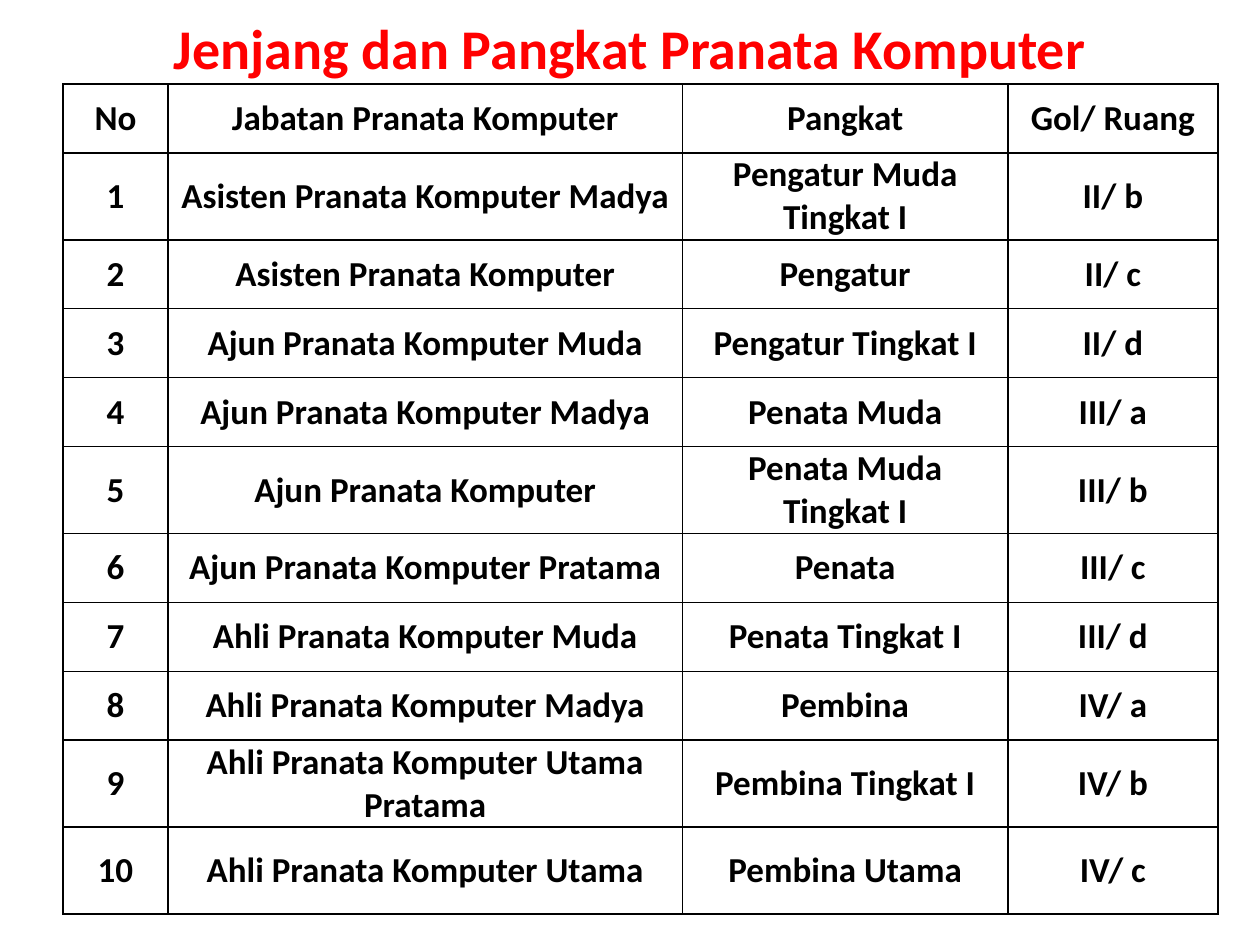
from dataclasses import dataclass

from lxml import etree
from pptx import Presentation
from pptx.dml.color import RGBColor
from pptx.enum.text import MSO_ANCHOR, PP_ALIGN
from pptx.oxml.ns import qn
from pptx.util import Pt

CENTER = PP_ALIGN.CENTER
MIDDLE = MSO_ANCHOR.MIDDLE
COLORS = {"title": "FF0000", "text": "000000", "border": "000000"}
FONT = "Calibri"
BLANK_LAYOUT = 6
TABLE_LEFT, TABLE_TOP = 36, 48
COLUMN_WIDTHS = (60, 294, 186, 120)
ROW_HEIGHT, TALL_ROW_HEIGHT = 39.4, 49.7
BORDER_WIDTH = 1
CELL_FORMAT = {
    "vertical_anchor": MIDDLE,
    "margin_left": Pt(5),
    "margin_right": Pt(5),
    "margin_top": Pt(0),
    "margin_bottom": Pt(0),
}


@dataclass(frozen=True)
class Rank:
    """One position with its rank and grade."""

    position: str
    rank: str
    grade: str
    height: float = ROW_HEIGHT


HEADER = Rank("Jabatan Pranata Komputer", "Pangkat", "Gol/ Ruang")
RANKS = (
    Rank("Asisten Pranata Komputer Madya", "Pengatur Muda Tingkat I", "II/ b", TALL_ROW_HEIGHT),
    Rank("Asisten Pranata Komputer", "Pengatur", "II/ c"),
    Rank("Ajun Pranata Komputer Muda", "Pengatur Tingkat I", "II/ d"),
    Rank("Ajun Pranata Komputer Madya", "Penata Muda", "III/ a"),
    Rank("Ajun Pranata Komputer", "Penata Muda Tingkat I", "III/ b", TALL_ROW_HEIGHT),
    Rank("Ajun Pranata Komputer Pratama", "Penata", "III/ c"),
    Rank("Ahli Pranata Komputer Muda", "Penata Tingkat I", "III/ d"),
    Rank("Ahli Pranata Komputer Madya", "Pembina", "IV/ a"),
    Rank("Ahli Pranata Komputer Utama Pratama", "Pembina Tingkat I", "IV/ b", TALL_ROW_HEIGHT),
    Rank("Ahli Pranata Komputer Utama", "Pembina Utama", "IV/ c", TALL_ROW_HEIGHT),
)


def set_attributes(target: object, values: dict) -> None:
    """Set every named format value on the target."""
    for name, value in values.items():
        setattr(target, name, value)


def write_text(text_frame, text: str, size: float, color: str, spacing: float = 0) -> None:
    """Write one centred bold paragraph."""
    paragraph = text_frame.paragraphs[0]
    set_attributes(paragraph, {
        "alignment": CENTER, "space_before": Pt(spacing), "space_after": Pt(spacing),
    })
    run = paragraph.add_run()
    run.text = text
    set_attributes(run.font, {"name": FONT, "size": Pt(size), "bold": True})
    run.font.color.rgb = RGBColor.from_string(COLORS[color])


def add_title(slide, text: str) -> None:
    """Add the heading across the top of the slide."""
    shape = slide.shapes.add_textbox(Pt(0), Pt(0), Pt(720), Pt(54))
    set_attributes(shape.text_frame, {"word_wrap": True, "vertical_anchor": MIDDLE})
    write_text(shape.text_frame, text, 32, "title")


def add_borders(cell) -> None:
    """Draw a solid line on all four sides of a cell."""
    properties = cell._tc.get_or_add_tcPr()
    for side in ("a:lnL", "a:lnR", "a:lnT", "a:lnB"):
        line = etree.SubElement(properties, qn(side), w=str(Pt(BORDER_WIDTH)))
        fill = etree.SubElement(line, qn("a:solidFill"))
        etree.SubElement(fill, qn("a:srgbClr"), val=COLORS["border"])


def fill_cell(cell, text: str) -> None:
    """Format a table cell and write its text."""
    set_attributes(cell, CELL_FORMAT)
    add_borders(cell)
    cell.fill.background()
    write_text(cell.text_frame, text, 20, "text", spacing=3)


def add_rank_table(slide) -> None:
    """Add the table of positions, numbered from one below the header."""
    rows = (HEADER, *RANKS)
    table = slide.shapes.add_table(
        len(rows), len(COLUMN_WIDTHS), Pt(TABLE_LEFT), Pt(TABLE_TOP),
        Pt(sum(COLUMN_WIDTHS)), Pt(sum(row.height for row in rows)),
    ).table
    set_attributes(table, {"first_row": False, "horz_banding": False})
    for column, width in zip(table.columns, COLUMN_WIDTHS):
        column.width = Pt(width)
    for number, row in enumerate(rows):
        table.rows[number].height = Pt(row.height)
        texts = (str(number) if number else "No", row.position, row.rank, row.grade)
        for cell, text in zip(table.rows[number].cells, texts):
            fill_cell(cell, text)


def main() -> None:
    """Build and save the slide."""
    presentation = Presentation()
    set_attributes(presentation, {"slide_width": Pt(720), "slide_height": Pt(540)})
    slide = presentation.slides.add_slide(presentation.slide_layouts[BLANK_LAYOUT])
    add_title(slide, "Jenjang dan Pangkat Pranata Komputer")
    add_rank_table(slide)
    presentation.save("out.pptx")


main()
